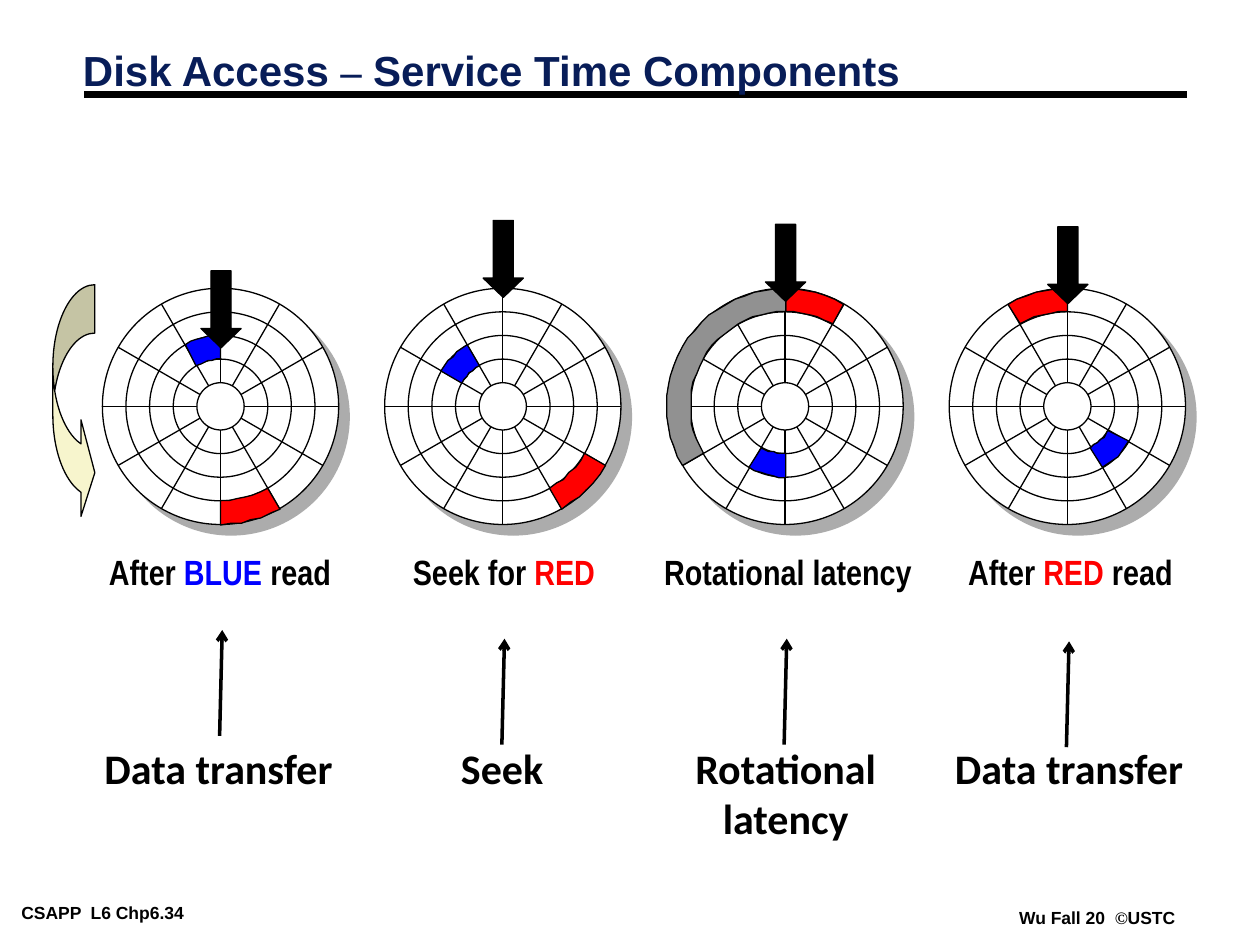
"""Build the slide on the service time components of a disk access."""
import math

import pptx
import pptx.dml.color
import pptx.enum.shapes
import pptx.enum.text
import pptx.oxml
import pptx.oxml.ns
import pptx.util

Pt = pptx.util.Pt
RGB = pptx.dml.color.RGBColor
Shape = pptx.enum.shapes.MSO_SHAPE
Align = pptx.enum.text.PP_ALIGN
Anchor = pptx.enum.text.MSO_ANCHOR

BLACK = RGB(0x00, 0x00, 0x00)
WHITE = RGB(0xFF, 0xFF, 0xFF)
NAVY = RGB(0x08, 0x1D, 0x58)
BLUE = RGB(0x00, 0x00, 0xFF)
RED = RGB(0xFF, 0x00, 0x00)
GRAY = RGB(0x91, 0x91, 0x91)
CREAM = RGB(0xF7, 0xF5, 0xCD)

SHADOW = (
    '<a:outerShdw %s blurRad="0" dist="107950" dir="2700000" algn="ctr" rotWithShape="0">'
    '<a:srgbClr val="919191"><a:alpha val="75000"/></a:srgbClr></a:outerShdw>'
    % pptx.oxml.ns.nsdecls("a")
)
TIP = '<a:tailEnd %s type="arrow"/>' % pptx.oxml.ns.nsdecls("a")
BARE = "<a:effectLst %s/>" % pptx.oxml.ns.nsdecls("a")

deck = pptx.Presentation()
deck.slide_width, deck.slide_height = Pt(720), Pt(540)
slide = deck.slides.add_slide(deck.slide_layouts[6])
shapes = slide.shapes


def write(box, rows, font, frame, para):
    """Add a text box; rows hold runs of (text, changed font values)."""
    area = shapes.add_textbox(*map(Pt, box)).text_frame
    for key, val in frame.items():
        setattr(area, key, val)
    for num, row in enumerate(rows):
        line = area.add_paragraph() if num else area.paragraphs[0]
        for key, val in para.items():
            setattr(line, key, val)
        for text, change in row:
            run = line.add_run()
            run.text = text
            look = {**font, **change}
            run.font.color.rgb = look.pop("color")
            for key, val in look.items():
                setattr(run.font, key, val)


def draw(item, width=0.75, fill=None):
    """Give a shape or connector its line, fill and no shadow."""
    item.line.color.rgb = BLACK
    item.line.width = Pt(width)
    if fill is None:
        item._element.spPr.append(pptx.oxml.parse_xml(BARE))
    else:
        item.fill.solid()
        item.fill.fore_color.rgb = fill
        item.shadow.inherit = False
    return item


STRAIGHT = pptx.enum.shapes.MSO_CONNECTOR.STRAIGHT
small = {"name": "Arial", "size": Pt(10), "bold": True, "color": BLACK}
head = {**small, "size": Pt(24), "color": NAVY}
narrow = {**small, "name": "Arial Narrow", "size": Pt(20)}
large = {**small, "name": "Calibri", "size": Pt(24)}
serif = {"name": "Times New Roman"}
foot = {"margin_left": Pt(5), "margin_right": Pt(5), "margin_top": Pt(2),
        "margin_bottom": Pt(2), "word_wrap": False}
wrap = {"word_wrap": True}
mid = {"alignment": Align.CENTER}

write((7.2, 513.4, 140.4, 15.8), [[("CSAPP  L6 Chp6.34", {})]], small, foot, {})
write((577.4, 516.2, 99.4, 15.8),
      [[("Wu Fall 20  ", {}), ("©", serif), ("USTC", {})]], small, foot, {})
draw(shapes.add_connector(STRAIGHT, Pt(48.2), Pt(54), Pt(678.2), Pt(54)), 4.5)
write((40.3, 25.9, 637.2, 32.4),
      [[("Disk Access ", {}), ("–", serif), (" Service Time Components", {})]],
      head, {**wrap, "vertical_anchor": Anchor.MIDDLE}, {"line_spacing": 0.87})

RING = 13.5
MIDY = 232.2
OUTER, INNER = (4 * RING, 5 * RING), (2 * RING, 3 * RING)
blue, red = {"color": BLUE}, {"color": RED}

# each disk: sectors (start, end, radii, colour), head top, caption, arrow foot, stage
disks = [
    ([(-30, 0, INNER, BLUE), (150, 180, OUTER, RED)], 154.8,
     (41.8, 167.8), [("After ", {}), ("BLUE ", blue), ("read", {})],
     420.5, (51.8, 146.2), ["Data transfer"]),
    ([(120, 150, OUTER, RED), (-60, -30, INNER, BLUE)], 126,
     (216, 144), [("Seek for ", {}), ("RED", red)],
     425.5, (256.3, 61.2), ["Seek"]),
    ([(0, 30, OUTER, RED), (180, 210, INNER, BLUE), (240, 360, OUTER, GRAY)], 128.2,
     (354.2, 192.2), [("Rotational latency", {})],
     425.5, (383.8, 130.3), ["Rotational", "latency"]),
    ([(-30, 0, OUTER, RED), (120, 150, INNER, BLUE)], 129.6,
     (527.8, 167.8), [("After ", {}), ("RED", red), (" read", {})],
     427, (537.8, 146.2), ["Data transfer"]),
]

for num, (parts, top, span, label, base, place, stage) in enumerate(disks):
    midx = 126 + 161.3 * num

    def spot(turn, reach):
        angle = math.radians(turn)
        return midx + reach * math.sin(angle), MIDY - reach * math.cos(angle)

    def ring(reach):
        box = midx - reach, MIDY - reach, 2 * reach, 2 * reach
        return draw(shapes.add_shape(Shape.OVAL, *map(Pt, box)), fill=WHITE)

    plate = ring(5 * RING)
    plate._element.spPr.find(pptx.oxml.ns.qn("a:effectLst")).append(
        pptx.oxml.parse_xml(SHADOW))
    for step in (4, 3, 2):
        ring(step * RING)
    for turn in range(0, 180, 30):
        ends = spot(turn, 5 * RING) + spot(turn + 180, 5 * RING)
        draw(shapes.add_connector(STRAIGHT, *map(Pt, ends)))
    ring(RING)

    for start, end, (near, far), tint in parts:
        turns = range(start, end + 1, 5)
        edge = [spot(turn, far) for turn in turns]
        edge += [spot(turn, near) for turn in reversed(turns)]
        path = shapes.build_freeform(*edge[0], scale=float(Pt(1)))
        path.add_line_segments(edge[1:], close=True)
        draw(path.convert_to_shape(), fill=tint)

    arm = shapes.add_shape(Shape.DOWN_ARROW, *map(Pt, (midx - 11.2, top, 23, 44)))
    arm.adjustments[0], arm.adjustments[1] = 0.5, 0.48
    draw(arm, fill=BLACK)

    write((span[0], 311, span[1], 31.7), [label], narrow, wrap, mid)
    write((place[0], 420.5, place[1], 36 * len(stage)),
          [[(word, {})] for word in stage], large, {"word_wrap": False}, mid)
    ends = midx - 0.5, base, midx + 1, base - 60.5
    link = draw(shapes.add_connector(STRAIGHT, *map(Pt, ends)), 2)
    link.line._get_or_add_ln().append(pptx.oxml.parse_xml(TIP))

spin = shapes.add_shape(Shape.CURVED_RIGHT_ARROW, *map(Pt, (30.2, 162.7, 24, 135)))
for num, val in enumerate((1.15, 2.3, 0.33)):
    spin.adjustments[num] = val
draw(spin, fill=CREAM)

deck.save("out.pptx")
